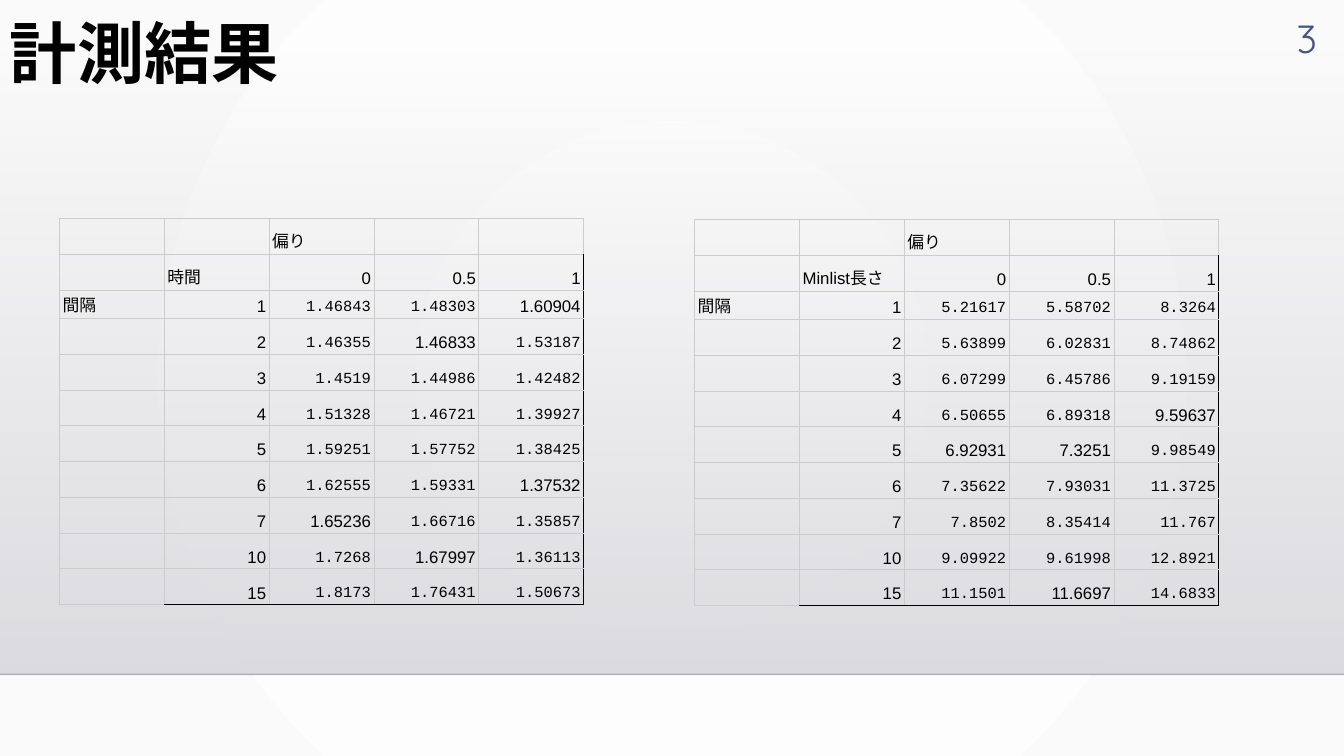
from lxml.etree import SubElement
from pptx import Presentation
from pptx.dml.color import RGBColor
from pptx.enum.lang import MSO_LANGUAGE_ID
from pptx.enum.shapes import MSO_CONNECTOR, MSO_SHAPE
from pptx.enum.text import MSO_ANCHOR, PP_ALIGN
from pptx.oxml import parse_xml
from pptx.oxml.ns import nsdecls, qn
from pptx.util import Inches, Pt

# Content
TITLE, PAGE = "計測結果", "3"
BIAS, GAP = "偏り", "間隔"
STEPS = ["0", "0.5", "1"]
GAPS = ["1", "2", "3", "4", "5", "6", "7", "10", "15"]
TIMES = [
    ("1.46843", "1.48303", "1.60904"),
    ("1.46355", "1.46833", "1.53187"),
    ("1.4519", "1.44986", "1.42482"),
    ("1.51328", "1.46721", "1.39927"),
    ("1.59251", "1.57752", "1.38425"),
    ("1.62555", "1.59331", "1.37532"),
    ("1.65236", "1.66716", "1.35857"),
    ("1.7268", "1.67997", "1.36113"),
    ("1.8173", "1.76431", "1.50673"),
]
SIZES = [
    ("5.21617", "5.58702", "8.3264"),
    ("5.63899", "6.02831", "8.74862"),
    ("6.07299", "6.45786", "9.19159"),
    ("6.50655", "6.89318", "9.59637"),
    ("6.92931", "7.3251", "9.98549"),
    ("7.35622", "7.93031", "11.3725"),
    ("7.8502", "8.35414", "11.767"),
    ("9.09922", "9.61998", "12.8921"),
    ("11.1501", "11.6697", "14.6833"),
]
# Values set in Arial; all other values are Courier New
PLAIN = {"1.60904", "1.46833", "1.37532", "1.65236", "1.67997",
         "9.59637", "6.92931", "7.3251", "11.6697"}
TABLES = [("時間", TIMES, 0.59, 2.17), ("Minlist長さ", SIZES, 6.89, 2.18)]
COL, ROW, LOW = 1.04, 0.355, 0.28
GRID, BLACK = "CCCCCC", "000000"


def color(code):
    return RGBColor.from_string(code)


def write(frame, text, size=12, font="Arial", ink=BLACK, bold=False,
          align=PP_ALIGN.LEFT, space=None):
    para = frame.paragraphs[0]
    para.alignment = align
    para.line_spacing = space
    if not text:
        para.font.size = Pt(size)
        return
    run = para.add_run()
    run.text = text
    run.font.size, run.font.name, run.font.bold = Pt(size), font, bold
    run.font.color.rgb = color(ink)
    run.font.language_id = MSO_LANGUAGE_ID.JAPANESE


def add_box(left, top, width, height, text, anchor, **form):
    box = slide.shapes.add_textbox(*map(Inches, (left, top, width, height)))
    box.text_frame.word_wrap = True
    box.text_frame.vertical_anchor = anchor
    write(box.text_frame, text, **form)


def blend(stops, shade):
    marks = "".join(
        f'<a:gs pos="{pos}"><a:srgbClr val="{code}"><a:alpha val="{alpha}"/>'
        f'</a:srgbClr></a:gs>' for pos, code, alpha in stops)
    return parse_xml(f'<a:gradFill {nsdecls("a")} rotWithShape="1">'
                     f'<a:gsLst>{marks}</a:gsLst>{shade}</a:gradFill>')


def edge(cell, side, code):
    line = SubElement(cell._tc.get_or_add_tcPr(), qn(f"a:ln{side}"), w="9525")
    fill = SubElement(line, qn("a:solidFill"))
    SubElement(fill, qn("a:srgbClr"), val=code)


def add_grid(name, values, left, top):
    rows = [["", "", BIAS, "", ""], ["", name, *STEPS]]
    for num, (gap, vals) in enumerate(zip(GAPS, values)):
        rows.append(["" if num else GAP, gap, *vals])
    tall = [LOW if num == 2 else ROW for num in range(len(rows))]
    wide = len(rows[0])
    table = slide.shapes.add_table(
        len(rows), wide, Inches(left), Inches(top),
        Inches(COL * wide), Inches(sum(tall))).table
    table.first_row = table.horz_banding = False
    for col in table.columns:
        col.width = Inches(COL)
    for r, row in enumerate(rows):
        table.rows[r].height = Inches(tall[r])
        for c, text in enumerate(row):
            cell = table.cell(r, c)
            cell.margin_left = cell.margin_right = Inches(0.03)
            cell.margin_top = cell.margin_bottom = Inches(0.02)
            cell.vertical_anchor = MSO_ANCHOR.BOTTOM
            right = BLACK if r and c == wide - 1 else GRID
            base = BLACK if c and r == len(rows) - 1 else GRID
            for side, code in zip("LRTB", (GRID, right, GRID, base)):
                edge(cell, side, code)
            cell.fill.background()
            mono = r > 1 and c > 1 and text not in PLAIN
            number = text[:1].isdigit()
            write(cell.text_frame, text, size=11 if mono else 12,
                  font="Courier New" if mono else "Arial",
                  align=PP_ALIGN.RIGHT if number else PP_ALIGN.LEFT)


deck = Presentation()
deck.slide_width, deck.slide_height = Inches(13.33), Inches(7.5)
slide = deck.slides.add_slide(deck.slide_layouts[6])

# Background
slide.background.fill.solid()
solid = slide.background._cSld.find(".//" + qn("a:solidFill"))
solid.getparent().replace(solid, blend(
    [(0, "FFFFFF", 100000), (100000, "FAFAFA", 100000)],
    '<a:path path="circle"><a:fillToRect l="50000" t="50000" r="50000" '
    'b="50000"/></a:path>'))

# Shaded band with its lower edge
band = slide.shapes.add_shape(MSO_SHAPE.RECTANGLE, 0, Inches(0.51),
                              Inches(13.33), Inches(6.18))
band.shadow.inherit = False
band.line.fill.background()
band.fill.solid()
solid = band._element.spPr.find(qn("a:solidFill"))
solid.getparent().replace(solid, blend(
    [(0, "DCDCE0", 0), (100000, "DEDEE2", 100000)],
    '<a:lin ang="5400000" scaled="0"/>'))
rule = slide.shapes.add_connector(MSO_CONNECTOR.STRAIGHT, 0, Inches(6.69),
                                  Inches(13.33), Inches(6.69))
rule.line.width = Pt(1)
rule.line.color.rgb = color("000001")
SubElement(rule._element.find(".//" + qn("a:srgbClr")), qn("a:alpha"),
           val="20000")
SubElement(rule._element.spPr, qn("a:effectLst"))

# Title and page number
add_box(0, 0.15, 12.1, 1.15, TITLE, MSO_ANCHOR.TOP, size=48,
        font="Quicksand", bold=True, space=0.9)
add_box(12.27, 0.1, 0.89, 0.55, PAGE, MSO_ANCHOR.MIDDLE, size=28,
        font="Quicksand", ink="415588", align=PP_ALIGN.RIGHT)

# Result tables
for item in TABLES:
    add_grid(*item)

deck.save("out.pptx")
